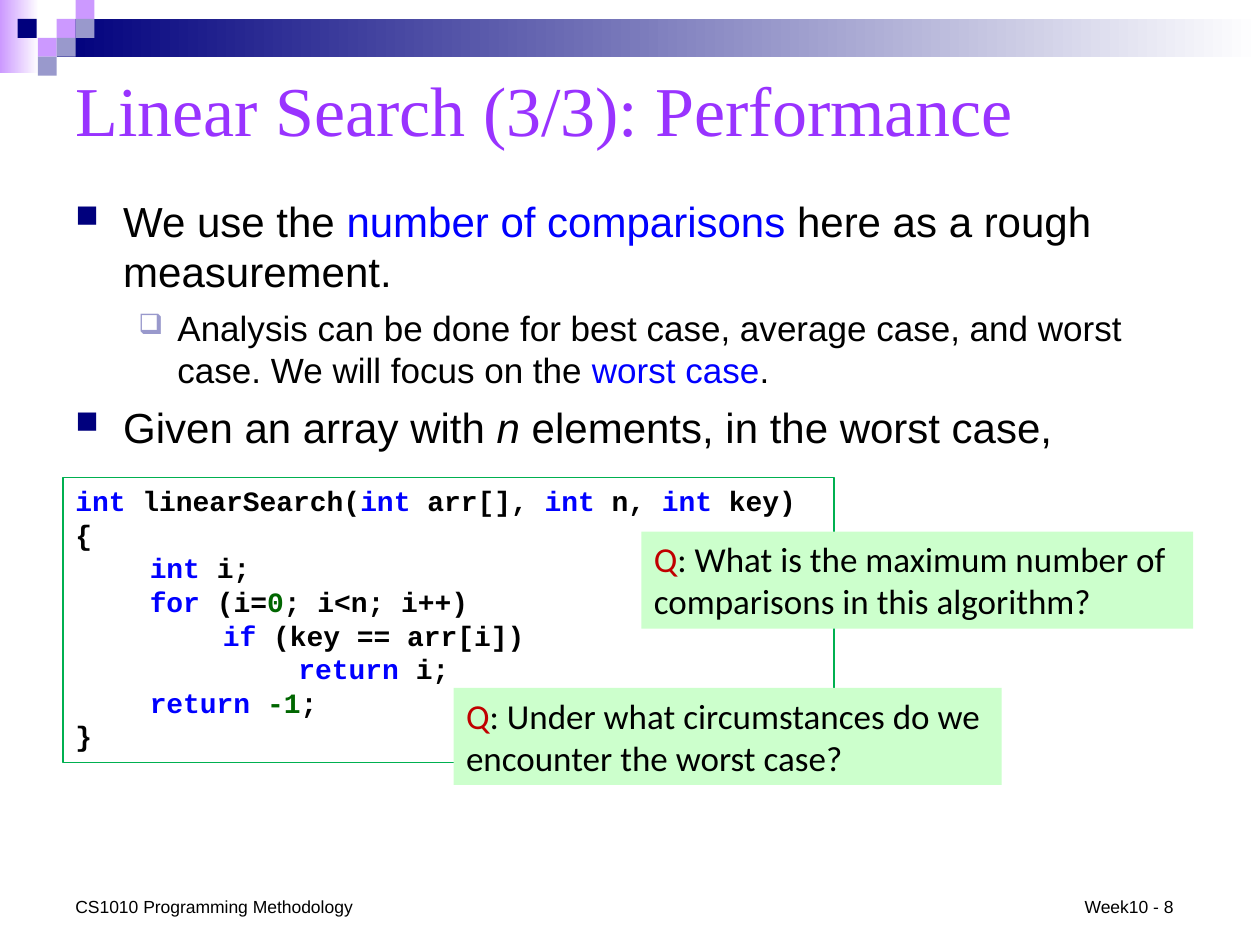
from dataclasses import dataclass

from lxml import etree
from pptx import Presentation
from pptx.dml.color import RGBColor
from pptx.enum.shapes import MSO_SHAPE
from pptx.enum.text import MSO_ANCHOR, MSO_AUTO_SIZE, PP_ALIGN
from pptx.oxml.ns import qn
from pptx.util import Inches, Pt

RECTANGLE = MSO_SHAPE.RECTANGLE
LEFT = PP_ALIGN.LEFT
TOP, MIDDLE = MSO_ANCHOR.TOP, MSO_ANCHOR.MIDDLE
FIT_NONE, FIT_SHAPE = MSO_AUTO_SIZE.NONE, MSO_AUTO_SIZE.SHAPE_TO_FIT_TEXT


@dataclass(frozen=True)
class Theme:
    navy: str = "00007D"
    lilac: str = "CC99FF"
    periwinkle: str = "9999CC"
    white: str = "FFFFFF"
    black: str = "000000"
    title: str = "9933FF"
    blue: str = "0000FF"
    number: str = "006600"
    question: str = "C00000"
    question_fill: str = "CCFFCC"
    code_line: str = "00B050"
    title_font: str = "Times New Roman"
    body_font: str = "Arial"
    code_font: str = "Courier New"
    question_font: str = "Calibri"
    title_size: int = 40
    body_size: int = 24
    detail_size: int = 20
    code_size: int = 16
    footer_size: int = 10


THEME = Theme()

# Bullet levels: text indent, hanging indent, character, colour, size in percent, text size
LEVELS = (
    (0.38, 0.38, "■", THEME.navy, 75, THEME.body_size),
    (0.81, 0.31, "❑", THEME.periwinkle, 80, THEME.detail_size),
)
CODE_TABS = (0.59, 1.17, 1.77, 2.16)

# A run is plain text, or a (text, colour) pair
BULLETS = (
    (0, ["We use the ", ("number of comparisons ", THEME.blue), "here as a rough measurement."]),
    (1, ["Analysis can be done for best case, average case, and worst case. We will focus on the ",
         ("worst case", THEME.blue), "."]),
    (0, ["Given an array with ", "n", " elements, in the worst case,"]),
)
INT = ("int ", THEME.blue)
RETURN = ("return ", THEME.blue)
CODE = (
    [INT, "linearSearch(", INT, "arr[], ", INT, "n, ", ("int", THEME.blue), " key)"],
    ["{"],
    ["\t", INT, "i;"],
    ["\t", ("for", THEME.blue), " (i=", ("0", THEME.number), "; i<n; i++)"],
    ["\t\t", ("if", THEME.blue), " (key == arr[i])"],
    ["\t\t\t", RETURN, "i;"],
    ["\t", RETURN, ("-1", THEME.number), ";"],
    ["}"],
)
QUESTIONS = (
    (5.09, 4.22, 4.38, ": What is the maximum number of comparisons in this algorithm?"),
    (3.6, 5.46, 4.35, ": Under what circumstances do we encounter the worst case?"),
)
FOOTERS = (
    (0.5, 2.42, "CS1010 Programming Methodology"),
    (8.51, 1.01, "Week10 - 8"),
)
# Corner squares: left, top, colour
SQUARE = 0.15
SQUARES = (
    (0.45, 0.15, THEME.lilac),
    (0.6, 0, THEME.lilac),
    (0.6, 0.15, THEME.periwinkle),
    (0.3, 0.3, THEME.lilac),
    (0.14, 0.15, THEME.navy),
    (0.45, 0.3, THEME.periwinkle),
    (0.3, 0.45, THEME.periwinkle),
)


def color(value):
    return RGBColor.from_string(value)


def add_rectangle(slide, left, top, width, height, fill, line=None, fade_to=None):
    shape = slide.shapes.add_shape(
        RECTANGLE, Inches(left), Inches(top), Inches(width), Inches(height))
    shape.shadow.inherit = False
    if fade_to:
        shape.fill.gradient()
        shape.fill.gradient_angle = 0
        for stop, value in zip(shape.fill.gradient_stops, (fill, fade_to)):
            stop.color.rgb = color(value)
    else:
        shape.fill.solid()
        shape.fill.fore_color.rgb = color(fill)
    if line:
        shape.line.color.rgb = color(line)
        shape.line.width = Pt(0.75)
    else:
        shape.line.fill.background()
    return shape


def add_text_box(slide, left, top, width, height):
    return slide.shapes.add_textbox(Inches(left), Inches(top), Inches(width), Inches(height))


def prepare_frame(shape, anchor=TOP, auto_size=FIT_SHAPE):
    frame = shape.text_frame
    frame.word_wrap = True
    frame.auto_size = auto_size
    frame.vertical_anchor = anchor
    return frame


def write_runs(paragraph, runs, font, size, bold=False):
    paragraph.alignment = LEFT
    for item in runs:
        text, value = (item, THEME.black) if isinstance(item, str) else item
        run = paragraph.add_run()
        run.text = text
        run.font.name = font
        run.font.size = Pt(size)
        run.font.bold = bold
        run.font.color.rgb = color(value)


def add_paragraph(frame, index):
    return frame.paragraphs[0] if index == 0 else frame.add_paragraph()


def set_bullet(paragraph, indent, hanging, character, value, percent):
    properties = paragraph._p.get_or_add_pPr()
    properties.set("marL", str(Inches(indent)))
    properties.set("indent", str(-Inches(hanging)))
    bullet_color = etree.SubElement(properties, qn("a:buClr"))
    etree.SubElement(bullet_color, qn("a:srgbClr"), val=value)
    etree.SubElement(properties, qn("a:buSzPct"), val=str(percent * 1000))
    etree.SubElement(properties, qn("a:buChar"), char=character)


def set_tabs(paragraph, positions):
    tab_list = etree.SubElement(paragraph._p.get_or_add_pPr(), qn("a:tabLst"))
    for position in positions:
        etree.SubElement(tab_list, qn("a:tab"), pos=str(Inches(position)), algn="l")


def add_banner(slide):
    add_rectangle(slide, 0, 0, 0.31, 0.58, THEME.lilac, fade_to=THEME.white)
    add_rectangle(slide, 0.45, 0.15, 9.55, 0.3, THEME.navy, fade_to=THEME.white)
    for left, top, fill in SQUARES:
        add_rectangle(slide, left, top, SQUARE, SQUARE, fill)


def set_title(slide, text):
    title = slide.shapes.title
    title.left, title.top = Inches(0.5), Inches(0.42)
    title.width, title.height = Inches(9), Inches(0.88)
    frame = prepare_frame(title, MIDDLE, FIT_NONE)
    write_runs(frame.paragraphs[0], [(text, THEME.title)], THEME.title_font, THEME.title_size)


def add_bullets(slide):
    frame = prepare_frame(add_text_box(slide, 0.5, 1.5, 9, 2.15))
    for index, (level, runs) in enumerate(BULLETS):
        paragraph = add_paragraph(frame, index)
        *bullet, size = LEVELS[level]
        set_bullet(paragraph, *bullet)
        paragraph.level = level
        paragraph.space_before = Pt(6 if index else 0)
        write_runs(paragraph, runs, THEME.body_font, size)
    # The variable n in the last bullet
    frame.paragraphs[-1].runs[1].font.italic = True


def add_code(slide):
    box = add_rectangle(slide, 0.5, 3.79, 6.12, 2.26, THEME.white, THEME.code_line)
    frame = prepare_frame(box)
    for index, runs in enumerate(CODE):
        paragraph = add_paragraph(frame, index)
        set_tabs(paragraph, CODE_TABS)
        write_runs(paragraph, runs, THEME.code_font, THEME.code_size, bold=True)


def add_question(slide, left, top, width, text):
    frame = prepare_frame(add_rectangle(slide, left, top, width, 0.77, THEME.question_fill))
    write_runs(frame.paragraphs[0], [("Q", THEME.question), text],
               THEME.question_font, THEME.detail_size)


def add_footer(slide, left, width, text):
    frame = prepare_frame(add_text_box(slide, left, 7.06, width, 0.27))
    write_runs(frame.paragraphs[0], [text], THEME.body_font, THEME.footer_size)


def main():
    presentation = Presentation()
    presentation.slide_width, presentation.slide_height = Inches(10), Inches(7.5)
    slide = presentation.slides.add_slide(presentation.slide_layouts[5])
    add_banner(slide)
    set_title(slide, "Linear Search (3/3): Performance")
    add_bullets(slide)
    add_code(slide)
    for question in QUESTIONS:
        add_question(slide, *question)
    for footer in FOOTERS:
        add_footer(slide, *footer)
    presentation.save("out.pptx")


if __name__ == "__main__":
    main()
